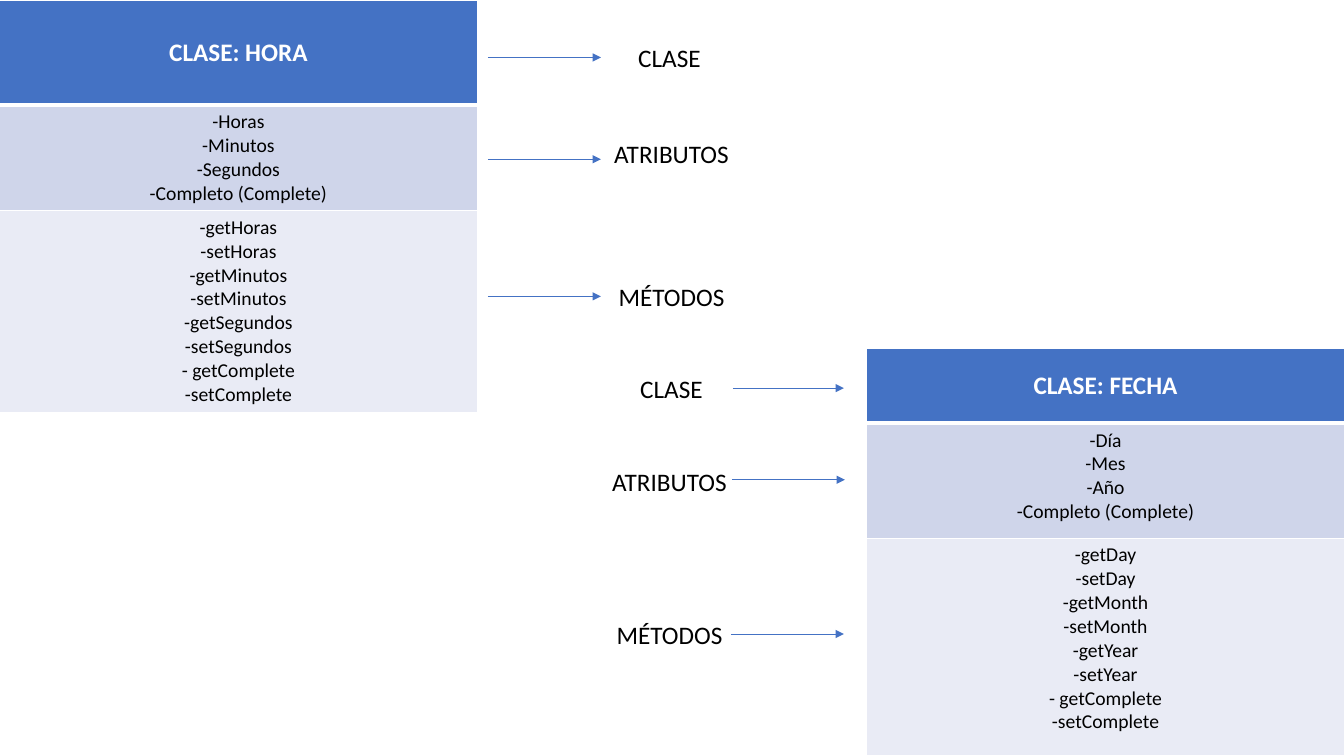
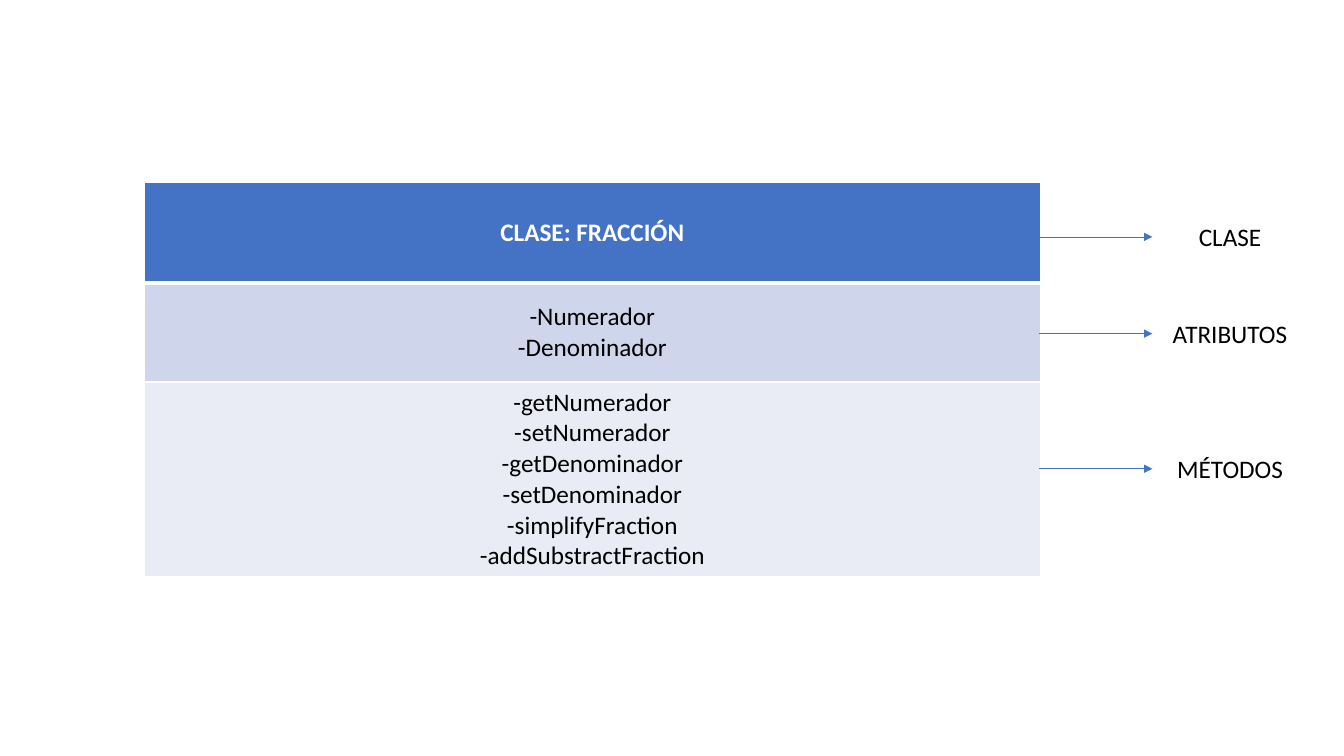
from lxml import etree
from pptx import Presentation
from pptx.dml.color import RGBColor
from pptx.enum.shapes import MSO_CONNECTOR
from pptx.enum.text import MSO_ANCHOR, MSO_AUTO_SIZE, PP_ALIGN
from pptx.oxml import parse_xml
from pptx.oxml.ns import nsdecls, qn
from pptx.util import Inches, Pt

STRAIGHT = MSO_CONNECTOR.STRAIGHT
TOP, MIDDLE = MSO_ANCHOR.TOP, MSO_ANCHOR.MIDDLE
CENTER = PP_ALIGN.CENTER
GROW = MSO_AUTO_SIZE.SHAPE_TO_FIT_TEXT

BLUE = RGBColor(0x44, 0x72, 0xC4)
PALE_BLUE = RGBColor(0xCF, 0xD5, 0xEA)
LIGHT_BLUE = RGBColor(0xE9, 0xEB, 0xF5)
WHITE = RGBColor(0xFF, 0xFF, 0xFF)
BLACK = RGBColor(0, 0, 0)
FONT = "Calibri"
FILLS = [BLUE, PALE_BLUE, LIGHT_BLUE]
LABELS = ["CLASE", "ATRIBUTOS", "MÉTODOS"]
LABEL_W, LABEL_H = 1.54, 0.4


def write_lines(tf, lines, size, color, bold=False):
    for i, line in enumerate(lines):
        p = tf.paragraphs[0] if i == 0 else tf.add_paragraph()
        p.alignment = CENTER
        r = p.add_run()
        r.text = line
        r.font.name = FONT
        r.font.size = Pt(size)
        r.font.bold = bold
        r.font.color.rgb = color


def set_borders(cell, top, bottom):
    widths = {"lnL": 1, "lnR": 1, "lnT": top, "lnB": bottom}
    for i, (side, width) in enumerate(widths.items()):
        border = parse_xml(
            f'<a:{side} {nsdecls("a")} w="{Pt(width)}"><a:solidFill>'
            f'<a:srgbClr val="{WHITE}"/></a:solidFill></a:{side}>')
        cell._tc.get_or_add_tcPr().insert(i, border)


hora = {
    "box": (-0.01, 0, 4.75), "rows": [1.04, 1.05, 2], "size": 14,
    "anchors": [MIDDLE, TOP, TOP],
    "text": [
        ["CLASE: HORA"],
        ["-Horas", "-Minutos", "-Segundos", "-Completo (Complete)"],
        ["-getHoras", "-setHoras", "-getMinutos", "-setMinutos",
         "-getSegundos", "-setSegundos", "- getComplete", "-setComplete"],
    ],
    "arrows": [(4.84, 5.96, 0.57), (4.84, 5.96, 1.58), (4.84, 5.96, 2.94)],
    "labels": [(5.87, 0.37), (5.89, 1.32), (5.89, 2.74)],
}
fecha = {
    "box": (8.59, 3.46, 4.75), "rows": [0.74, 1.14, 2.16], "size": 14,
    "anchors": [MIDDLE, TOP, TOP],
    "text": [
        ["CLASE: FECHA"],
        ["-Día", "-Mes", "-Año", "-Completo (Complete)"],
        ["-getDay", "-setDay", "-getMonth", "-setMonth",
         "-getYear", "-setYear", "- getComplete", "-setComplete"],
    ],
    "arrows": [(7.27, 8.37, 3.85), (7.26, 8.38, 4.76), (7.25, 8.37, 6.29)],
    "labels": [(5.89, 3.65), (5.87, 4.58), (5.87, 6.09)],
}
fraccion = {
    "box": (1.43, 1.81, 8.89), "rows": [1, 0.98, 1.93], "size": 18,
    "anchors": [MIDDLE, MIDDLE, TOP],
    "text": [
        ["CLASE: FRACCIÓN"],
        ["-Numerador", "-Denominador"],
        ["-getNumerador", "-setNumerador", "-getDenominador",
         "-setDenominador", "-simplifyFraction", "-addSubstractFraction"],
    ],
    "arrows": [(10.31, 11.43, y) for y in (2.35, 3.31, 4.65)],
    "labels": [(11.43, y) for y in (2.15, 3.11, 4.45)],
}

prs = Presentation()
prs.slide_width = Inches(13.33)
prs.slide_height = Inches(7.5)

for diagrams in [[hora, fecha], [fraccion]]:
    s = prs.slides.add_slide(prs.slide_layouts[6])
    for d in diagrams:
        left, top, width = d["box"]
        table = s.shapes.add_table(
            3, 1, Inches(left), Inches(top), Inches(width),
            Inches(sum(d["rows"]))).table
        for i, height in enumerate(d["rows"]):
            table.rows[i].height = Inches(height)
            cell = table.cell(i, 0)
            cell.fill.solid()
            cell.fill.fore_color.rgb = FILLS[i]
            cell.vertical_anchor = d["anchors"][i]
            header = i == 0
            set_borders(cell, 3 if i == 1 else 1, 3 if header else 1)
            write_lines(cell.text_frame, d["text"][i],
                        18 if header else d["size"],
                        WHITE if header else BLACK, header)

        for x1, x2, y in d["arrows"]:
            arrow = s.shapes.add_connector(
                STRAIGHT, Inches(x1), Inches(y), Inches(x2), Inches(y))
            arrow.line.color.rgb = BLUE
            arrow.line.width = Pt(0.5)
            etree.SubElement(arrow.line._get_or_add_ln(), qn("a:tailEnd"),
                             type="triangle")
            etree.SubElement(arrow._element.spPr, qn("a:effectLst"))

        for label, (x, y) in zip(LABELS, d["labels"]):
            sp = s.shapes.add_textbox(
                Inches(x), Inches(y), Inches(LABEL_W), Inches(LABEL_H))
            tf = sp.text_frame
            tf.word_wrap = True
            tf.auto_size = GROW
            write_lines(tf, [label], 18, BLACK)

prs.save("out.pptx")
